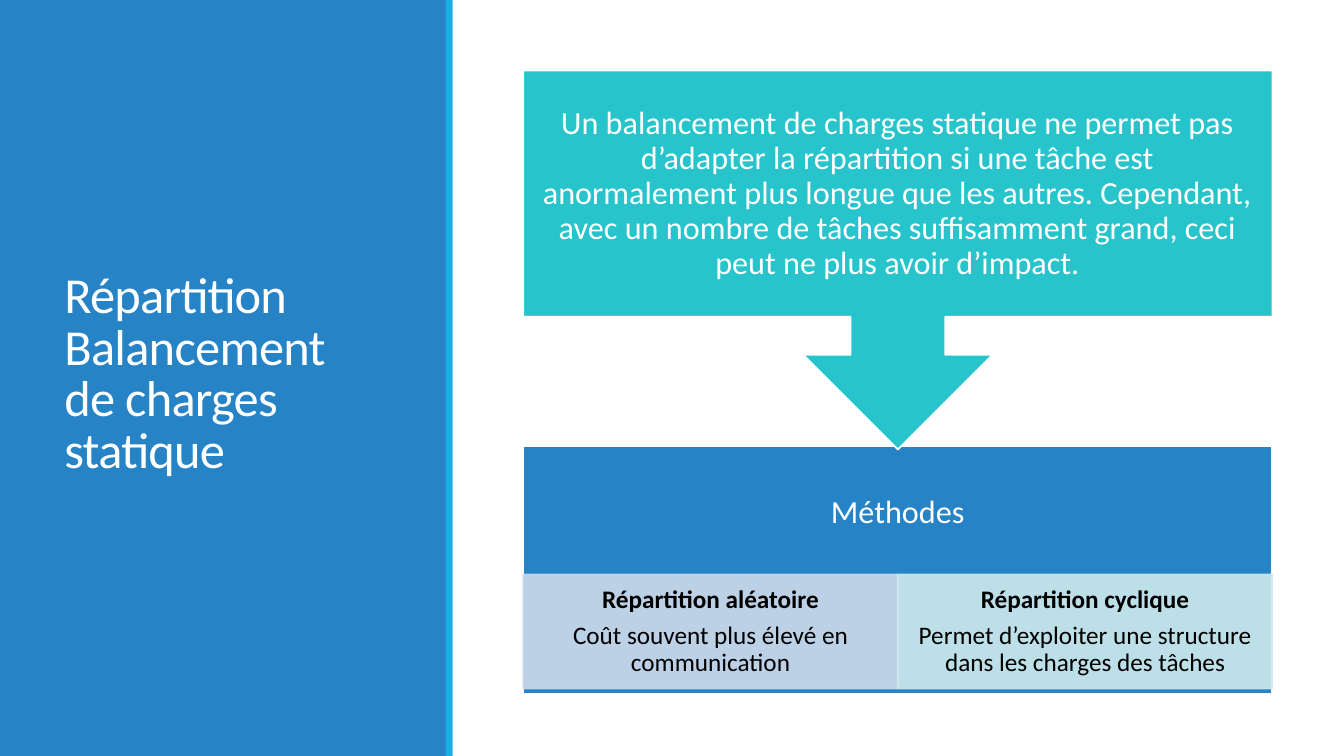
"""Build a slide on static load balancing: a blue side panel and a two-step diagram."""
from lxml import etree
from pptx import Presentation
from pptx import util as u
from pptx.dml.color import RGBColor
from pptx.enum import shapes, text
from pptx.oxml.ns import qn

TITLE = ["Répartition", "Balancement de charges statique"]
STATEMENT = ("Un balancement de charges statique ne permet pas d’adapter la répartition "
             "si une tâche est anormalement plus longue que les autres. Cependant, avec un "
             "nombre de tâches suffisamment grand, ceci peut ne plus avoir d’impact.")
HEADING = "Méthodes"
METHODS = [
    ("Répartition aléatoire", "Coût souvent plus élevé en communication", "pale_blue"),
    ("Répartition cyclique", "Permet d’exploiter une structure dans les charges des tâches", "pale_teal"),
]
COLORS = {"blue": "2683C6", "cyan": "1CADE4", "teal": "28C4CC", "white": "FFFFFF",
          "black": "000000", "pale_blue": "CDD9EA", "pale_teal": "CDE9EC"}
FONT = "Calibri"

WIDTH, HEIGHT = 13.33, 7.5
PANEL_WIDTH, STRIPE_WIDTH = 4.43, 0.07
LEFT, DIAGRAM_WIDTH = 5.19, 7.43
STEP_HEIGHT = 2.45
CALLOUT_TOP, CALLOUT_HEIGHT = 0.7, 3.76
METHODS_TOP, CELL_TOP, CELL_HEIGHT = 4.43, 5.7, 1.13
CELL_WIDTH = DIAGRAM_WIDTH / len(METHODS)
PADDING = 0.18


def add_block(slide, kind, box, fill, line=None, opacity=None):
    shape = slide.shapes.add_shape(kind, *map(u.Inches, box))
    shape.shadow.inherit = False
    shape.fill.solid()
    shape.fill.fore_color.rgb = RGBColor.from_string(COLORS[fill])
    if line:
        shape.line.color.rgb = RGBColor.from_string(COLORS[line])
        shape.line.width = u.Pt(1.25)
    else:
        shape.line.fill.background()
    if opacity:
        for color in shape.element.spPr.iter(qn("a:srgbClr")):
            etree.SubElement(color, qn("a:alpha"), val=str(opacity * 1000))
    return shape


def write(shape, paragraphs, size, color, insets,
          align=text.PP_ALIGN.CENTER, spacing=0.9, after=0.35, tracking=None):
    frame = shape.text_frame
    frame.word_wrap = True
    frame.vertical_anchor = text.MSO_ANCHOR.MIDDLE
    (frame.margin_left, frame.margin_top,
     frame.margin_right, frame.margin_bottom) = map(u.Inches, insets)
    for index, (lines, bold) in enumerate(paragraphs):
        paragraph = frame.add_paragraph() if index else frame.paragraphs[0]
        paragraph.alignment = align
        paragraph.line_spacing = spacing
        paragraph.space_after = u.Pt(size * after)
        for number, line in enumerate(lines):
            if number:
                paragraph.add_line_break()
            run = paragraph.add_run()
            run.text = line
            run.font.name = FONT
            run.font.size = u.Pt(size)
            run.font.bold = bold
            run.font.color.rgb = RGBColor.from_string(COLORS[color])
            if tracking:
                run.font._element.set("spc", str(int(tracking * 100)))


def add_text(slide, box):
    return slide.shapes.add_textbox(*map(u.Inches, box))


def main():
    presentation = Presentation()
    presentation.slide_width = u.Inches(WIDTH)
    presentation.slide_height = u.Inches(HEIGHT)
    slide = presentation.slides.add_slide(presentation.slide_layouts[6])
    rectangle = shapes.MSO_SHAPE.RECTANGLE

    add_block(slide, rectangle, (0, 0, PANEL_WIDTH, HEIGHT), "blue")
    title = add_text(slide, (0.54, 0.57, 3.37, 6.31))
    write(title, [(TITLE, False)], 36, "white", (0.1, 0.05, 0.1, 0.05),
          text.PP_ALIGN.LEFT, spacing=0.85, after=0, tracking=-0.5)
    add_block(slide, rectangle, (PANEL_WIDTH - 0.01, 0, STRIPE_WIDTH, HEIGHT), "cyan")

    methods = add_block(slide, rectangle, (LEFT, METHODS_TOP, DIAGRAM_WIDTH, STEP_HEIGHT),
                        "blue", "white")
    write(methods, [([HEADING], False)], 23, "white",
          (PADDING, PADDING, PADDING, PADDING + CELL_HEIGHT))

    for column, (name, detail, fill) in enumerate(METHODS):
        cell = add_block(slide, rectangle,
                         (LEFT + column * CELL_WIDTH, CELL_TOP, CELL_WIDTH, CELL_HEIGHT),
                         fill, fill, opacity=90)
        write(cell, [([name], True), ([detail], False)], 18, "black", (0.14, 0.03, 0.14, 0.03))

    callout = add_block(slide, shapes.MSO_SHAPE.UP_ARROW_CALLOUT,
                        (LEFT, CALLOUT_TOP, DIAGRAM_WIDTH, CALLOUT_HEIGHT), "teal", "white")
    callout.rotation = 180
    statement = add_text(slide, (LEFT, CALLOUT_TOP, DIAGRAM_WIDTH, STEP_HEIGHT))
    write(statement, [([STATEMENT], False)], 23, "white", (PADDING,) * 4)

    presentation.save("out.pptx")


if __name__ == "__main__":
    main()
